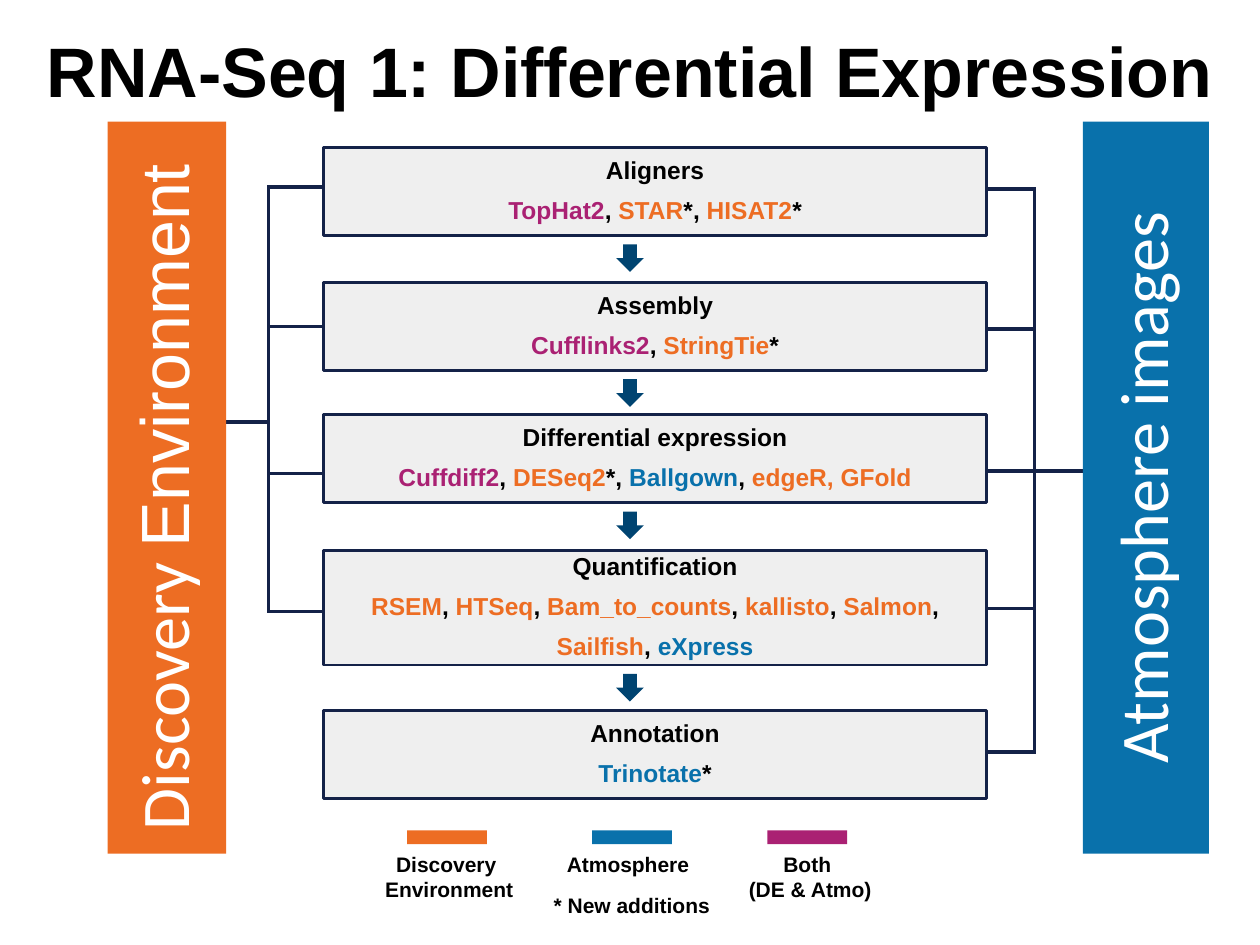
from dataclasses import dataclass

from lxml import etree
from pptx import Presentation
from pptx.dml.color import RGBColor
from pptx.enum.shapes import MSO_CONNECTOR, MSO_SHAPE
from pptx.enum.text import MSO_ANCHOR, PP_ALIGN
from pptx.oxml.ns import qn
from pptx.slide import Slide
from pptx.util import Pt

ORANGE, BLUE, PURPLE = "ED6D23", "0971AB", "AA2173"
BLACK, WHITE, NAVY, ARROW, PANEL = "000000", "FFFFFF", "142248", "004471", "EFEFEF"

STEP_LEFT, STEP_WIDTH = 185, 378.7
STEP_RIGHT = STEP_LEFT + STEP_WIDTH
LEFT_BUS, RIGHT_BUS = 153.4, 591.1
LEFT_STUBS = [107, 186.5, 270.7, 349.5]
RIGHT_STUBS = [108, 187.9, 269.3, 347.8, 429.8]
ARROW_SIZE, ARROW_GAP = 15.8, 5

# Top, height, title, then lines of (text, colour) runs
STEPS = [
    (84.2, 50.4, "Aligners", [
        [("TopHat2", PURPLE), (", ", BLACK), ("STAR", ORANGE), ("*, ", BLACK),
         ("HISAT2", ORANGE), ("*", BLACK)]]),
    (161.3, 50.4, "Assembly", [
        [("Cufflinks2", PURPLE), (", ", BLACK), ("StringTie", ORANGE), ("*", BLACK)]]),
    (236.9, 50.4, "Differential expression", [
        [("Cuffdiff2", PURPLE), (", ", BLACK), ("DESeq2", ORANGE), ("*, ", BLACK),
         ("Ballgown", BLUE), (", ", BLACK), ("edgeR, GFold", ORANGE)]]),
    (314.6, 65.5, "Quantification", [
        [("RSEM", ORANGE), (", ", BLACK), ("HTSeq", ORANGE), (", ", BLACK),
         ("Bam_to_counts", ORANGE), (", ", BLACK), ("kallisto", ORANGE), (", ", BLACK),
         ("Salmon", ORANGE), (",", BLACK)],
        [("Sailfish", ORANGE), (", ", BLACK), ("eXpress", BLUE)]]),
    (406.1, 50.4, "Annotation", [[("Trinotate", BLUE), ("*", BLACK)]]),
]

# Swatch left, text centre, colour, lines
LEGEND = [
    (232.6, 256.7, ORANGE, ["Discovery ", "Environment"]),
    (338.4, 358.9, BLUE, ["Atmosphere"]),
    (438.5, 463, PURPLE, ["Both ", "(DE & Atmo)"]),
]


def color(hex_string):
    return RGBColor.from_string(hex_string)


@dataclass
class Diagram:
    slide: Slide
    font: str = "Arial"
    line_color: str = NAVY

    def add_runs(self, shape, lines, size, inset, bold=True, spacing=None, before=0,
                 anchor=MSO_ANCHOR.MIDDLE):
        """Fill a shape with centred lines of (text, colour[, font]) runs."""
        frame = shape.text_frame
        frame.word_wrap = True
        frame.vertical_anchor = anchor
        frame.margin_left = frame.margin_right = Pt(inset)
        frame.margin_top = frame.margin_bottom = Pt(inset)
        for index, runs in enumerate(lines):
            paragraph = frame.add_paragraph() if index else frame.paragraphs[0]
            paragraph.alignment = PP_ALIGN.CENTER
            if spacing:
                paragraph.line_spacing = spacing
            if index and before:
                paragraph.space_before = Pt(before)
            for text, text_color, *font in runs:
                run = paragraph.add_run()
                run.text = text
                run.font.name = font[0] if font else self.font
                run.font.size = Pt(size)
                run.font.bold = bold
                run.font.color.rgb = color(text_color)

    def text(self, left, top, width, height, lines, size, anchor=MSO_ANCHOR.TOP):
        box = self.slide.shapes.add_textbox(Pt(left), Pt(top), Pt(width), Pt(height))
        self.add_runs(box, [[(line, BLACK)] for line in lines], size, 7.2, anchor=anchor)

    def shape(self, left, top, width, height, fill, outline=None, kind=MSO_SHAPE.RECTANGLE):
        shape = self.slide.shapes.add_shape(kind, Pt(left), Pt(top), Pt(width), Pt(height))
        shape.shadow.inherit = False
        shape.fill.solid()
        shape.fill.fore_color.rgb = color(fill)
        if outline:
            shape.line.color.rgb = color(outline)
            shape.line.width = Pt(1.5)
        else:
            shape.line.fill.background()
        return shape

    def side_bar(self, center_x, thickness, fill, runs):
        """Draw a tall bar whose text reads upwards."""
        length, center_y = 418.3, 278.6
        bar = self.shape(center_x - length / 2, center_y - thickness / 2,
                         length, thickness, fill)
        bar.rotation = 270
        self.add_runs(bar, [runs], 39, 2, bold=False, spacing=0.9)

    def step(self, top, height, title, lines):
        box = self.shape(STEP_LEFT, top, STEP_WIDTH, height, PANEL, self.line_color)
        self.add_runs(box, [[(title, BLACK)], *lines], 14, 12, spacing=0.9, before=7.7)

    def line(self, x1, y1, x2, y2):
        connector = self.slide.shapes.add_connector(
            MSO_CONNECTOR.STRAIGHT, Pt(x1), Pt(y1), Pt(x2), Pt(y2))
        connector.line.color.rgb = color(self.line_color)
        connector.line.width = Pt(2)
        etree.SubElement(connector._element.spPr, qn("a:effectLst"))

    def bracket(self, bus_x, box_x, stubs):
        """Join a vertical line to the steps by one short line per height."""
        self.line(bus_x, stubs[0] - 1, bus_x, stubs[-1] + 1)
        for y in stubs:
            self.line(bus_x, y, box_x, y)


def main():
    presentation = Presentation()
    presentation.slide_width, presentation.slide_height = Pt(720), Pt(540)
    diagram = Diagram(presentation.slides.add_slide(presentation.slide_layouts[6]))

    diagram.text(17.3, 14, 696.2, 52, ["RNA-Seq 1: Differential Expression "], 40,
                 MSO_ANCHOR.MIDDLE)

    diagram.line(128.2, 241.2, LEFT_BUS, 241.2)
    diagram.line(637.2, RIGHT_STUBS[2], RIGHT_BUS, RIGHT_STUBS[2])
    diagram.side_bar(95.4, 67.7, ORANGE, [("Discovery ", WHITE, "Calibri"),
                                          ("Environment ", WHITE)])
    diagram.side_bar(654.8, 72, BLUE, [("Atmosphere images", WHITE, "Calibri")])

    for step in STEPS:
        diagram.step(*step)
    diagram.bracket(LEFT_BUS, STEP_LEFT, LEFT_STUBS)
    diagram.bracket(RIGHT_BUS, STEP_RIGHT, RIGHT_STUBS)
    for top, height, *_ in STEPS[:-1]:
        diagram.shape(352.1, top + height + ARROW_GAP, ARROW_SIZE, ARROW_SIZE, ARROW,
                      kind=MSO_SHAPE.DOWN_ARROW)

    for swatch_left, center, fill, lines in LEGEND:
        diagram.shape(swatch_left, 474.5, 45.6, 7.9, fill)
        diagram.text(center - 56.5, 479.5, 113, 25.2, lines, 12)
    diagram.text(303.1, 502.6, 115.9, 37.4, ["* New additions"], 12)

    presentation.save("out.pptx")


if __name__ == "__main__":
    main()
